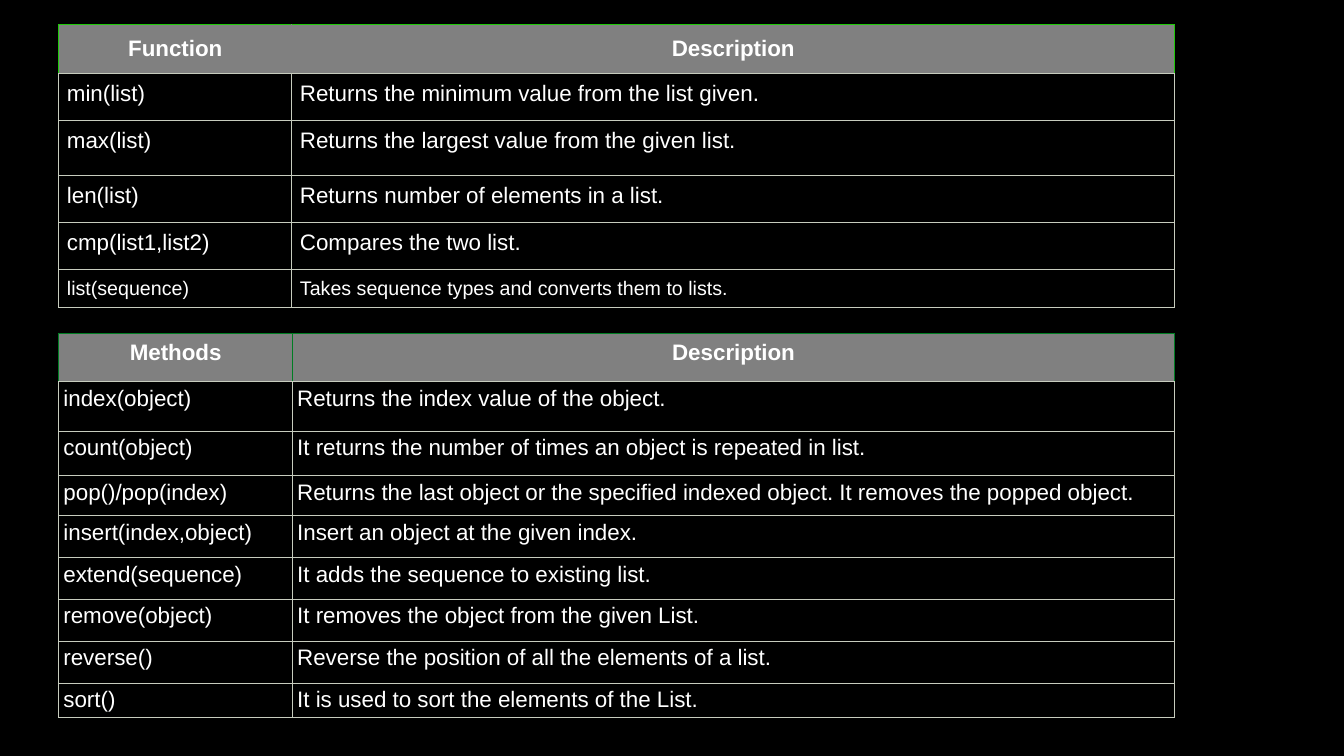
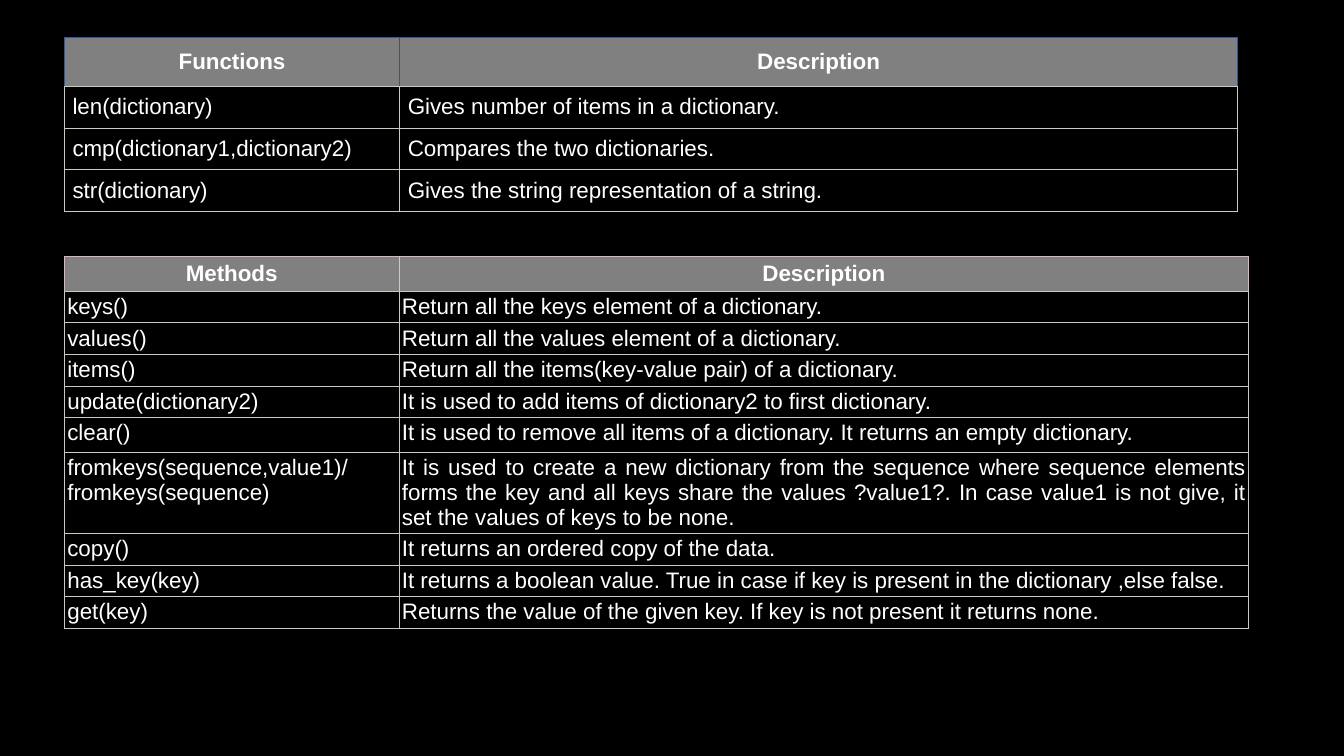
from lxml import etree
from pptx import Presentation
from pptx.dml.color import RGBColor
from pptx.enum import text
from pptx.oxml import ns
from pptx.util import Pt

FONT = "Arial"
TEXT_SIZE = 16
BACKGROUND = "000000"
TEXT_COLOR = "FFFFFF"
HEADER_FILL = "808080"
GRID = "C7CCBE"
BORDER_WIDTH = 0.75

LIST_FUNCTIONS = {
    "at": (42, 17.5), "columns": (166.5, 630.5), "insets": (8.4, 5.8),
    "outline": "20C90A", "divider": HEADER_FILL, "last_row_size": 14,
    "rows": [
        (35, "Function", "Description"),
        (33.5, "min(list)", "Returns the minimum value from the list given."),
        (39.5, "max(list)", "Returns the largest value from the given list."),
        (33.5, "len(list)", "Returns number of elements in a list."),
        (33.5, "cmp(list1,list2)", "Compares the two list."),
        (27, "list(sequence)", "Takes sequence types and converts them to lists."),
    ],
}
LIST_METHODS = {
    "at": (42, 238), "columns": (167, 630), "insets": (5, 3.3),
    "outline": "007D23", "divider": "007D23",
    "rows": [
        (34.5, "Methods", "Description"),
        (35.5, "index(object)", "Returns the index value of the object."),
        (32, "count(object)", "It returns the number of times an object is repeated in list."),
        (28.5, "pop()/pop(index)",
         "Returns the last object or the specified indexed object. It removes the popped object."),
        (30, "insert(index,object)", "Insert an object at the given index."),
        (29.5, "extend(sequence)", "It adds the sequence to existing list."),
        (30, "remove(object)", "It removes the object from the given List."),
        (30, "reverse()", "Reverse the position of all the elements of a list."),
        (24.5, "sort()", "It is used to sort the elements of the List."),
    ],
}
DICTIONARY_FUNCTIONS = {
    "at": (46, 26.7), "columns": (239.5, 598.5), "insets": (8.4, 5.8),
    "outline": "3056A3", "divider": "505050",
    "rows": [
        (35, "Functions", "Description"),
        (29.8, "len(dictionary)", "Gives number of items in a dictionary."),
        (29.8, "cmp(dictionary1,dictionary2)", "Compares the two dictionaries."),
        (29.8, "str(dictionary)", "Gives the string representation of a string."),
    ],
}
DICTIONARY_METHODS = {
    "at": (46, 183.3), "columns": (239, 607), "insets": (3.3, 2.1),
    "outline": "E0B3C3", "divider": GRID,
    "rows": [
        (24.8, "Methods", "Description"),
        (22.6, "keys()", "Return all the keys element of a dictionary."),
        (22.6, "values()", "Return all the values element of a dictionary."),
        (22.6, "items()", "Return all the items(key-value pair) of a dictionary."),
        (22.6, "update(dictionary2)", "It is used to add items of dictionary2 to first dictionary."),
        (24.8, "clear()",
         "It is used to remove all items of a dictionary. It returns an empty dictionary."),
        (57.8, "fromkeys(sequence,value1)/ fromkeys(sequence)",
         "It is used to create a new dictionary from the sequence where sequence elements "
         "forms the key and all keys share the values ?value1?. In case value1 is not give, "
         "it set the values of keys to be none."),
        (22.6, "copy()", "It returns an ordered copy of the data."),
        (22.6, "has_key(key)",
         "It returns a boolean value. True in case if key is present in the dictionary ,else false."),
        (22.6, "get(key)",
         "Returns the value of the given key. If key is not present it returns none."),
    ],
}
SLIDES = [(LIST_METHODS, LIST_FUNCTIONS), (DICTIONARY_FUNCTIONS, DICTIONARY_METHODS)]


def color(value):
    return RGBColor.from_string(value)


def set_borders(cell, left, right, top, bottom):
    properties = cell._tc.get_or_add_tcPr()
    sides = zip("LRTB", (left, right, top, bottom))
    for position, (side, value) in enumerate(sides):
        line = etree.Element(ns.qn(f"a:ln{side}"), w=str(Pt(BORDER_WIDTH)))
        fill = etree.SubElement(line, ns.qn("a:solidFill"))
        etree.SubElement(fill, ns.qn("a:srgbClr"), val=value)
        properties.insert(position, line)


def fill_cell(cell, words, size, inset, is_header):
    cell.margin_left = cell.margin_right = Pt(inset)
    cell.margin_top = cell.margin_bottom = Pt(inset)
    if is_header:
        cell.fill.solid()
        cell.fill.fore_color.rgb = color(HEADER_FILL)
    else:
        cell.fill.background()
    paragraph = cell.text_frame.paragraphs[0]
    paragraph.alignment = text.PP_ALIGN.CENTER if is_header else text.PP_ALIGN.JUSTIFY
    run = paragraph.add_run()
    run.text = words
    run.font.name = FONT
    run.font.size = Pt(size)
    run.font.bold = is_header
    run.font.color.rgb = color(TEXT_COLOR)


def add_reference_table(slide, content):
    rows, columns = content["rows"], content["columns"]
    left, top = content["at"]
    height = sum(row[0] for row in rows)
    table = slide.shapes.add_table(
        len(rows), len(columns), Pt(left), Pt(top), Pt(sum(columns)), Pt(height)).table
    table.first_row = table.horz_banding = False
    for column, width in zip(table.columns, columns):
        column.width = Pt(width)
    header_inset, body_inset = content["insets"]
    outline, divider = content["outline"], content["divider"]
    for index, (row_height, *entries) in enumerate(rows):
        table.rows[index].height = Pt(row_height)
        is_header = index == 0
        is_last = index == len(rows) - 1
        size = content.get("last_row_size", TEXT_SIZE) if is_last else TEXT_SIZE
        inset = header_inset if is_header else body_inset
        for position, words in enumerate(entries):
            cell = table.cell(index, position)
            fill_cell(cell, words, size, inset, is_header)
            if is_header:
                edges = (outline, divider) if position == 0 else (divider, outline)
                set_borders(cell, *edges, outline, GRID)
            else:
                set_borders(cell, GRID, GRID, GRID, GRID)


def main():
    presentation = Presentation()
    presentation.slide_width, presentation.slide_height = Pt(960), Pt(540)
    for tables in SLIDES:
        slide = presentation.slides.add_slide(presentation.slide_layouts[6])
        slide.background.fill.solid()
        slide.background.fill.fore_color.rgb = color(BACKGROUND)
        for content in tables:
            add_reference_table(slide, content)
    presentation.save("out.pptx")


if __name__ == "__main__":
    main()
